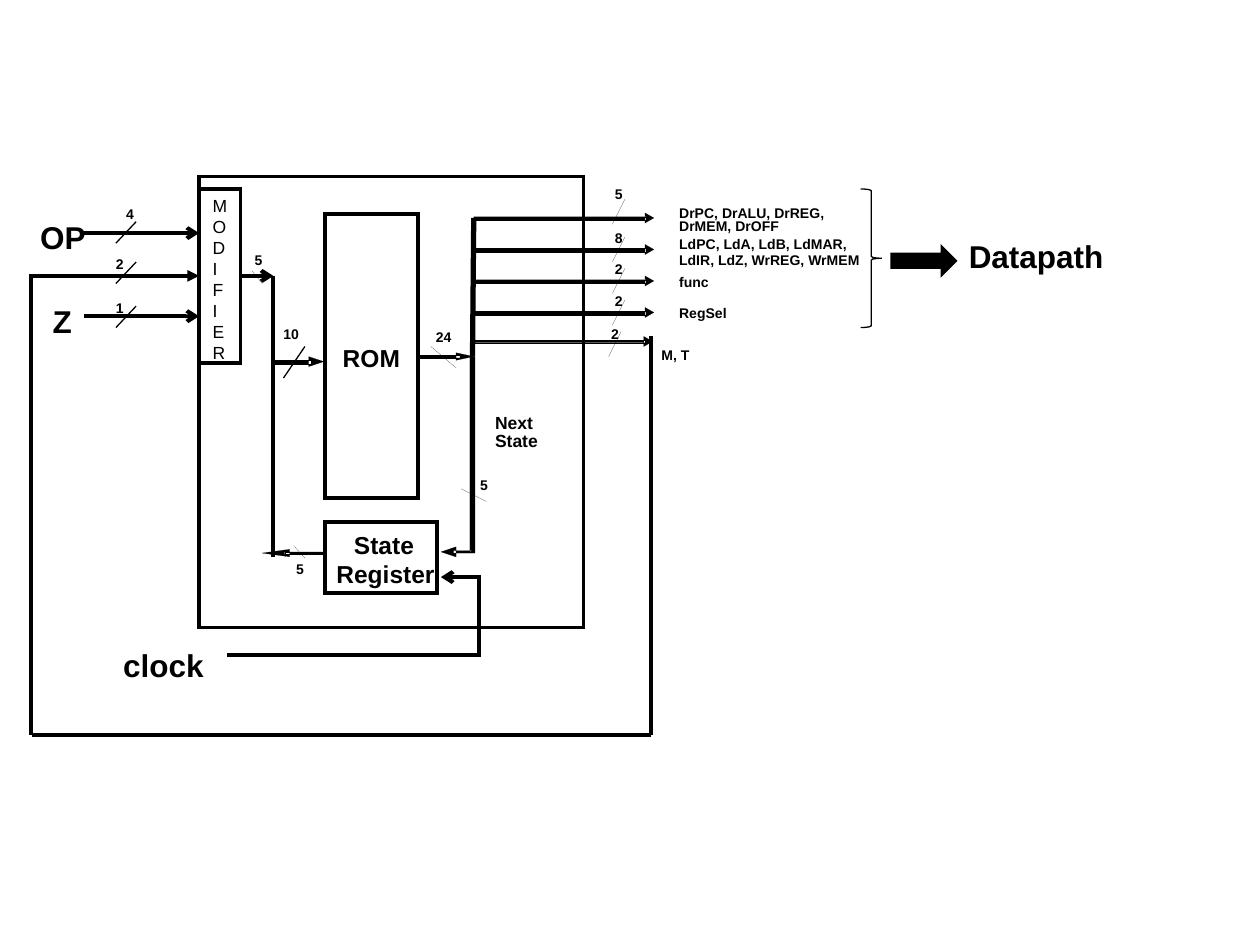
from dataclasses import dataclass
from typing import Any

from lxml.etree import SubElement
from pptx import Presentation
from pptx.dml.color import RGBColor
from pptx.enum.shapes import MSO_CONNECTOR as Link, MSO_SHAPE as Form
from pptx.enum.text import MSO_AUTO_SIZE as Fit
from pptx.oxml.ns import qn
from pptx.util import Pt

SCALE = 9144
BLACK = "000000"
HAIR = 0.05
SLACK = 2
TALL = {8: 13, 10: 17, 14: 23, 18: 40}


def px(value):
    return round(value * SCALE)


def paint(fill, tone):
    fill.solid()
    fill.fore_color.rgb = RGBColor.from_string(tone)


@dataclass
class Pane:
    slide: Any
    left: int
    top: int
    wide: int
    high: int

    def spot(self, x, y):
        return px(self.left + x), px(self.top + y)

    def line(self, x1, y1, x2, y2, width=2.25, tail=None, head=None, kind=Link.STRAIGHT):
        wire = self.slide.shapes.add_connector(kind, *self.spot(x1, y1), *self.spot(x2, y2))
        paint(wire.line.fill, BLACK)
        wire.line.width = Pt(width)
        props = wire.element.spPr
        edge = props.find(qn("a:ln"))
        SubElement(edge, qn("a:miter"), lim="800000")
        for tag, end in (("a:headEnd", head), ("a:tailEnd", tail)):
            if end:
                SubElement(edge, qn(tag), type=end)
        SubElement(props, qn("a:effectLst"))
        return wire

    def shape(self, form, x, y, w, h, width=2.25, tone=None):
        item = self.slide.shapes.add_shape(form, *self.spot(x, y), px(w), px(h))
        self.style(item, width, tone)

    def style(self, item, width, tone):
        item.shadow.inherit = False
        if tone:
            paint(item.fill, tone)
        else:
            item.fill.background()
        paint(item.line.fill, BLACK)
        item.line.width = Pt(width)
        SubElement(item.element.spPr.find(qn("a:ln")), qn("a:miter"), lim="800000")

    def solid(self, *loops):
        first, *rest = loops
        pen = self.slide.shapes.build_freeform(*self.spot(*first[0]), scale=1)
        pen.add_line_segments([self.spot(*dot) for dot in first[1:]], close=True)
        for loop in rest:
            pen.move_to(*self.spot(*loop[0]))
            pen.add_line_segments([self.spot(*dot) for dot in loop[1:]], close=True)
        self.style(pen.convert_to_shape(), HAIR, BLACK)

    def dart(self, start, neck, base, tip, y, half, thick=2):
        low = y - 1 + thick
        shaft = [(start, y - 1), (neck, y - 1), (neck, low), (start, low)]
        self.solid(shaft, [(base, y - half), (tip, y), (base, y + half)])

    def label(self, x, y, w, *words, size=8, bold=True, inset=False, high=None, pitch=None):
        box = self.slide.shapes.add_textbox(
            *self.spot(x, y), px(w + SLACK), px(high or TALL[size]))
        frame = box.text_frame
        frame.word_wrap = False
        frame.auto_size = Fit.SHAPE_TO_FIT_TEXT
        frame.margin_left = frame.margin_right = px(10 if inset else 0)
        frame.margin_top = frame.margin_bottom = px(5 if inset else 0)
        for index, word in enumerate(words):
            para = frame.add_paragraph() if index else frame.paragraphs[0]
            if pitch:
                para.line_spacing = Pt(pitch)
            run = para.add_run()
            run.text = word
            run.font.name, run.font.size, run.font.bold = "Arial", Pt(size), bold
            paint(run.font.fill, BLACK)


def draw_inputs(slide, *box):
    pane = Pane(slide, *box)
    for y in (22, 88):
        pane.line(45, y, pane.wide, y, tail="arrow")
    pane.label(0, 5, 56, "OP", size=18, inset=True)
    pane.label(10, 72, 35, "Z", size=18, inset=True)
    for slash, x, y, bits in ((13, 78, 0, "4"), (45, 70, 40, "2"), (80, 70, 75, "1")):
        pane.line(86, slash, 70, slash + 17, 0.75)
        pane.label(x, y, 6, bits)


def draw_core(slide, *box):
    pane = Pane(slide, *box)
    pane.shape(Form.RECTANGLE, 0, 0, pane.wide, pane.high, 2)
    pane.shape(Form.RECTANGLE, 0, 10, 33, 138, 2)
    pane.label(1, 10, 31, *"MODIFIER", size=10, bold=False, inset=True, high=161, pitch=12)
    pane.line(34, 79, 59, 79, tail="arrow")
    pane.line(59, 79, 59, 302)
    pane.dart(59, 89, 87, 99, 147, 4, 3)
    pane.shape(Form.RECTANGLE, 100, 30, 74, 225)
    pane.label(114, 132, 46, "ROM", size=14)
    pane.dart(175, 207, 204, 218, 143, 3)
    pane.line(217, 143, 218, 33, 3)
    pane.solid(
        [(219, 143), (219, 299), (202, 299), (202, 297), (217, 297), (215, 298), (215, 143)],
        [(204, 302), (192, 298), (204, 294)],
    )
    pane.shape(Form.RECTANGLE, 100, 274, 89, 57)
    pane.label(123, 281, 48, "State", size=14)
    pane.label(109, 304, 78, "Register", size=14)
    pane.dart(100, 68, 72, 50, 299, 3)
    pane.label(235, 187, 30, "Next", size=10)
    pane.label(235, 201, 34, "State", size=10)
    for mark, width, x, y, w, bits in (
        ((42, 75, 50, 85), HAIR, 44, 60, 6, "5"),
        ((84, 135, 67, 160), 0.75, 67, 118, 12, "10"),
        ((184, 135, 204, 152), HAIR, 188, 121, 12, "24"),
        ((208, 248, 228, 258), HAIR, 223, 238, 6, "5"),
        ((75, 293, 84, 303), HAIR, 77, 305, 6, "5"),
    ):
        pane.line(*mark, width)
        pane.label(x, y, w, bits)


def draw_clock(slide, *box):
    pane = Pane(slide, *box)
    pane.label(0, 50, 84, "clock", size=18, inset=True)
    wire = pane.line(262, 0, 92, pane.high, head="arrow", kind=Link.ELBOW)
    guides = wire.element.spPr.find(qn("a:prstGeom")).get_or_add_avLst()
    SubElement(guides, qn("a:gd"), name="adj1", fmla="val -17700")


def draw_outs(slide, *box):
    pane = Pane(slide, *box)
    for x, y, slash, count, bits, thick in (
        (0, 26, 31, 0, "5", 3), (0, 51, 61, 35, "8", 3), (0, 76, 86, 60, "2", 3),
        (0, 101, 111, 85, "2", 3), (-3, 124, 136, 111, "2", 2),
    ):
        start = max(x, -1)
        pane.dart(start, start + 137, start + 136, start + 143, y, 4, thick)
        pane.line(x + 110, slash, x + 120, slash - 20, HAIR)
        pane.label(x + 112, count, 6, bits)
    for x, y, w, name in (
        (163, 15, 119, "DrPC, DrALU, DrREG,"), (163, 26, 79, "DrMEM, DrOFF"),
        (163, 40, 133, "LdPC, LdA, LdB, LdMAR,"), (163, 53, 144, "LdIR, LdZ, WrREG, WrMEM"),
        (163, 70, 24, "func"), (163, 95, 38, "RegSel"), (149, 128, 22, "M, T"),
    ):
        pane.label(x, y, w, name)


def draw_loop(slide, *box):
    pane = Pane(slide, *box)
    wide, high = pane.wide, pane.high
    pane.line(wide, 48, wide, high)
    pane.line(wide, high, 0, high)
    reach = 133
    mid_x, mid_y = reach / 2, high / 2
    wire = pane.line(mid_x + mid_y, mid_y + mid_x, mid_x - mid_y, mid_y - mid_x,
                     tail="triangle", kind=Link.ELBOW)
    props = wire.element.spPr
    props.find(qn("a:xfrm")).set("rot", "5400000")
    props.find(qn("a:prstGeom")).set("prst", "bentConnector2")


def draw_goal(slide, *box):
    pane = Pane(slide, *box)
    pane.shape(Form.RIGHT_BRACE, 0, 0, 17, pane.high, 0.75)
    pane.shape(Form.RIGHT_ARROW, 25, 47, 50, 20, 2, BLACK)
    pane.label(76, 33, 127, "Datapath", size=18, inset=True)


def main():
    deck = Presentation()
    deck.slide_width, deck.slide_height = px(1000), px(750)
    slide = deck.slides.add_slide(deck.slide_layouts[6])
    draw_clock(slide, 88, 458, 292, 62)
    draw_outs(slide, 376, 147, 307, 141)
    draw_core(slide, 158, 140, 305, 358)
    draw_inputs(slide, 22, 163, 136, 112)
    draw_loop(slide, 25, 219, 492, 364)
    draw_goal(slide, 683, 150, 203, 110)
    deck.save("out.pptx")


if __name__ == "__main__":
    main()
